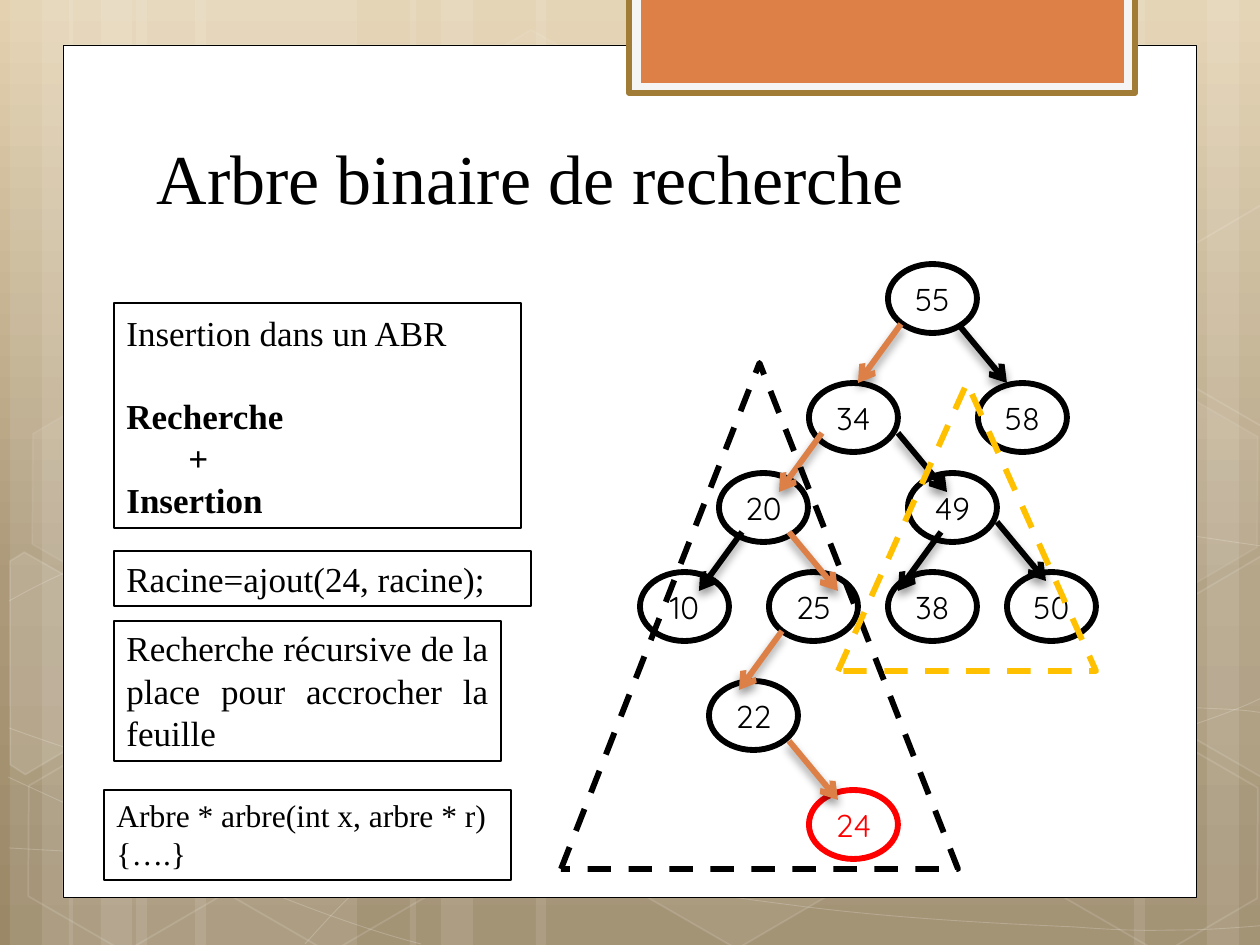
import copy
import math

import lxml.etree
import pptx
import pptx.dml.color
import pptx.enum.dml
import pptx.enum.shapes
import pptx.enum.text
import pptx.oxml.ns
import pptx.util

PX = 914400 / 126
COLORS = {"black": "000000", "white": "FFFFFF", "orange": "DD8047", "red": "FF0000",
          "yellow": "FFC000", "bronze": "A17C36", "pale": "F5F5F5",
          "sand": "E3D1AF", "khaki": "AB9979", "earth": "9A8867"}
SERIF, ROUND = "Times New Roman", "Quicksand"
THICK = 3.35
TILT = 30
SHAPE = pptx.enum.shapes.MSO_SHAPE
ALIGN = pptx.enum.text.PP_ALIGN
ANCHOR = pptx.enum.text.MSO_ANCHOR
qn = pptx.oxml.ns.qn


def px(*values):
    """Turn pixels into EMU."""
    return [pptx.util.Emu(round(v * PX)) for v in values]


def rgb(name):
    """Look up a colour."""
    return pptx.dml.color.RGBColor.from_string(COLORS[name])


def add(parent, tag, **attrs):
    """Add a drawing element with attributes."""
    return lxml.etree.SubElement(parent, qn(tag), {k: str(v) for k, v in attrs.items()})


def paint_fill(fill, holder, name, alpha):
    """Set one fill, whose element sits in the holder, with opacity in percent."""
    if not name or not alpha:
        fill.background()
        return
    fill.solid()
    fill.fore_color.rgb = rgb(name)
    if alpha < 100:
        add(holder.find(qn("a:solidFill"))[0], "a:alpha", val=alpha * 1000)


def paint(sp, fill=None, line=None, width=1, fill_alpha=100, line_alpha=100, dashed=False):
    """Set fill and outline of a shape."""
    sp.shadow.inherit = False
    spPr = sp.element.spPr
    paint_fill(sp.fill, spPr, fill, fill_alpha)
    sp.line.width = pptx.util.Pt(width)
    paint_fill(sp.line.fill, spPr.find(qn("a:ln")), line, line_alpha)
    if dashed:
        sp.line.dash_style = pptx.enum.dml.MSO_LINE.DASH


def shape(s, kind, box, **style):
    """Add a painted preset shape."""
    sp = s.shapes.add_shape(kind, *px(*box))
    paint(sp, **style)
    return sp


def outline(s, points, close, **style):
    """Add a painted freeform."""
    builder = s.shapes.build_freeform(*points[0], scale=PX)
    builder.add_line_segments(points[1:], close=close)
    sp = builder.convert_to_shape()
    paint(sp, **style)
    return sp


def curve(s, points, **style):
    """Add a chain of cubic curves, three points to each."""
    sp = outline(s, points, False, **style)
    steps = list(sp.element.iter(qn("a:lnTo")))
    for i in range(0, len(steps), 3):
        cubic = lxml.etree.Element(qn("a:cubicBezTo"))
        steps[i].addprevious(cubic)
        for step in steps[i:i + 3]:
            cubic.append(step[0])
            step.getparent().remove(step)


def turn(point, center, degrees):
    """Rotate a point about a center."""
    a = math.radians(degrees)
    dx, dy = point[0] - center[0], point[1] - center[1]
    return (center[0] + dx * math.cos(a) - dy * math.sin(a),
            center[1] + dx * math.sin(a) + dy * math.cos(a))


def style_text(p, font, size, color="black", bold=False):
    """Format the runs of a paragraph."""
    for r in p.runs:
        r.font.name, r.font.size, r.font.bold = font, pptx.util.Pt(size), bold
        r.font.color.rgb = rgb(color)


def backdrop(s, box):
    """Draw the gradient, stripes, curves and hexagons."""
    x, y, w, h = box
    fill = s.background.fill
    fill.gradient()
    fill.gradient_angle = 270
    stops = s.element.find(".//" + qn("a:gsLst"))
    stops.append(copy.deepcopy(stops[-1]))
    for stop, place, name in zip(fill.gradient_stops, (0, 0.62, 1), ("sand", "khaki", "earth")):
        stop.position = place
        stop.color.rgb = rgb(name)
    for left, width in ((136, 221), (10, 63), (42, 105), (195, 221), (69, 63), (101, 105),
                        (924, 221), (1207, 63), (1134, 105), (536, 388), (410, 63), (441, 105)):
        shape(s, SHAPE.RECTANGLE, (x + left, y, width, h), fill="white", fill_alpha=10)
    curves = (
        [(9, 848), (77, 852), (145, 856), (239, 854), (334, 853), (451, 851), (577, 838),
         (703, 825), (882, 801), (998, 777), (1113, 753), (1231, 716), (1269, 694)],
        [(9, 601), (45, 581), (82, 562), (152, 543), (224, 522), (326, 499), (437, 488),
         (549, 478), (685, 478), (824, 488), (963, 498), (1193, 537), (1269, 547)],
        [(8, 777), (160, 847), (311, 916), (421, 944)],
        [(9, 728), (48, 742), (88, 756), (161, 776), (234, 795), (344, 827), (450, 848),
         (554, 869), (687, 892), (791, 905), (896, 919), (1008, 924), (1075, 927),
         (1140, 932), (1158, 930), (1191, 930), (1223, 929), (1246, 927), (1269, 925)],
        [(305, 944), (328, 919), (350, 893), (381, 871), (411, 848), (454, 823), (489, 805),
         (524, 787), (546, 780), (592, 767), (638, 755), (722, 737), (766, 728),
         (811, 719), (818, 719), (857, 717), (896, 713), (958, 709), (1000, 708),
         (1045, 707), (1116, 708), (1116, 708), (1144, 708), (1172, 708), (1201, 708),
         (1223, 709), (1245, 710), (1256, 712), (1264, 713), (1263, 712), (1268, 713)])
    for points in curves:
        curve(s, [(x + a, y + b) for a, b in points], line="white", width=0.5, line_alpha=20)
    for left, top, inside, edge in ((421, 45, 4, 8), (626, 742, 6, 12), (14, 745, 0, 12),
                                    (18, 393, 7, 8), (219, 746, 0, 12), (949, 571, 10, 12),
                                    (1051, 747, 0, 12), (1051, 396, 7, 8)):
        sp = shape(s, SHAPE.HEXAGON, (x + left, y + top, 221, 192), fill="white",
                   fill_alpha=inside, line="white", line_alpha=edge)
        sp.adjustments[0] = 0.285
        sp.rotation = TILT
    left_cut = [(10, 561), (24, 552), (121, 607), (120, 718), (25, 774), (10, 765)]
    right_cut = [(1167, 611), (1261, 556), (1271, 562), (1271, 772), (1263, 777), (1167, 722)]
    for points, center, dy, inside in ((left_cut, (45, 674), 0, 10),
                                       (right_cut, (1241, 655), 0, 4),
                                       (right_cut, (1241, 655), -351, 0)):
        level = [turn(point, center, -TILT) for point in points]
        sp = outline(s, [(x + a, y + b + dy) for a, b in level], True, fill="white",
                     fill_alpha=inside, line="white", line_alpha=12)
        sp.rotation = TILT


def card(s, box):
    """Draw the white card, its tab and the title."""
    x, y, w, h = box
    shape(s, SHAPE.RECTANGLE, box, fill="white", line="black", width=0.5)
    shape(s, SHAPE.RECTANGLE, (x + 566, y - 48, 506, 96), fill="pale", line="bronze", width=THICK)
    shape(s, SHAPE.RECTANGLE, (x + 578, y - 48, 483, 86), fill="orange")
    title = s.shapes.title
    title.element.getparent().append(title.element)
    title.left, title.top, title.width, title.height = px(x + 81, y + 62, 968, 118)
    tf = title.text_frame
    tf.text = "Arbre binaire de recherche"
    tf.auto_size = pptx.enum.text.MSO_AUTO_SIZE.NONE
    tf.vertical_anchor = ANCHOR.BOTTOM
    tf.paragraphs[0].alignment = ALIGN.LEFT
    style_text(tf.paragraphs[0], SERIF, 40)


def tree(s, origin):
    """Draw the search tree and its two dashed triangles."""
    x, y = origin
    nodes = {55: (327, 0), 34: (248, 119), 58: (417, 119), 20: (158, 209), 49: (347, 209),
             10: (79, 308), 25: (208, 308), 38: (327, 308), 50: (446, 308),
             22: (148, 417), 24: (248, 526)}
    for value, (left, top) in nodes.items():
        color = "red" if value == 24 else "black"
        sp = shape(s, SHAPE.OVAL, (x + left, y + top, 89, 69), fill="white",
                   line=color, width=THICK)
        tf = sp.text_frame
        tf.text = str(value)
        tf.word_wrap = False
        tf.vertical_anchor = ANCHOR.MIDDLE
        tf.paragraphs[0].alignment = ALIGN.CENTER
        style_text(tf.paragraphs[0], ROUND, 18, color)
    to_left, to_right = (-43, 59), (49, 59)
    arrows = ((397, 60, to_right, "black"), (340, 60, to_left, "orange"),
              (261, 169, to_left, "orange"), (181, 268, to_left, "black"),
              (380, 268, to_left, "black"), (228, 268, to_right, "orange"),
              (337, 169, to_right, "black"), (436, 258, to_right, "black"),
              (221, 367, to_left, "orange"), (228, 477, to_right, "orange"))
    for left, top, (dx, dy), color in arrows:
        arrow = s.shapes.add_connector(
            pptx.enum.shapes.MSO_CONNECTOR.STRAIGHT,
            *px(x + left, y + top, x + left + dx, y + top + dy))
        arrow.line.color.rgb = rgb(color)
        arrow.line.width = pptx.util.Pt(THICK)
        spPr = arrow.element.spPr
        add(spPr.find(qn("a:ln")), "a:tailEnd", type="arrow")
        shadow = add(add(spPr, "a:effectLst"), "a:outerShdw", blurRad=66040, dist=38100,
                     dir=5400000, rotWithShape=0)
        add(add(shadow, "a:srgbClr", val=COLORS["black"]), "a:alpha", val=40000)
    for left, top, w, h, color in ((0, 99, 397, 506, "black"), (277, 119, 258, 288, "yellow")):
        shape(s, SHAPE.ISOSCELES_TRIANGLE, (x + left, y + top, w, h), line=color,
              width=THICK, dashed=True)


def notes_column(s, origin):
    """Draw the framed texts on the left."""
    x, y = origin
    boxes = (
        ((10, 0, 407, 225), 9, 20, ["Insertion dans un ABR", "Recherche", "+", "Insertion"]),
        ((10, 248, 417, 55), 7, 20, ["Racine=ajout(24, racine);"]),
        ((10, 318, 387, 140), 6, 20,
         ["Recherche récursive de la place pour accrocher la feuille"]),
        ((0, 487, 407, 90), 6, 18, ["Arbre * arbre(int x, arbre * r)", "{….}"]))
    for (left, top, w, h), inset, size, lines in boxes:
        sp = shape(s, SHAPE.RECTANGLE, (x + left, y + top, w, h), line="black", width=0.75)
        tf = sp.text_frame
        tf.word_wrap = True
        tf.vertical_anchor = ANCHOR.TOP
        tf.margin_top = px(inset)[0]
        tf.text = "\n".join(lines)
        for p in tf.paragraphs:
            p.alignment = ALIGN.LEFT
            style_text(p, SERIF, size, bold=p.text in ("Recherche", "+", "Insertion"))
            if p.text == "Recherche":
                p.space_before = pptx.util.Pt(23)
            elif p.text == "+":
                p._p.get_or_add_pPr().set("marL", str(px(62)[0]))
            elif p.text.startswith("Recherche"):
                p.alignment = ALIGN.JUSTIFY


prs = pptx.Presentation()
prs.slide_width, prs.slide_height = px(1260, 945)
s = prs.slides.add_slide(prs.slide_layouts[5])
backdrop(s, (0, 0, 1260, 945))
card(s, (63, 45, 1134, 853))
tree(s, (561, 264))
notes_column(s, (104, 303))
prs.save("out.pptx")
